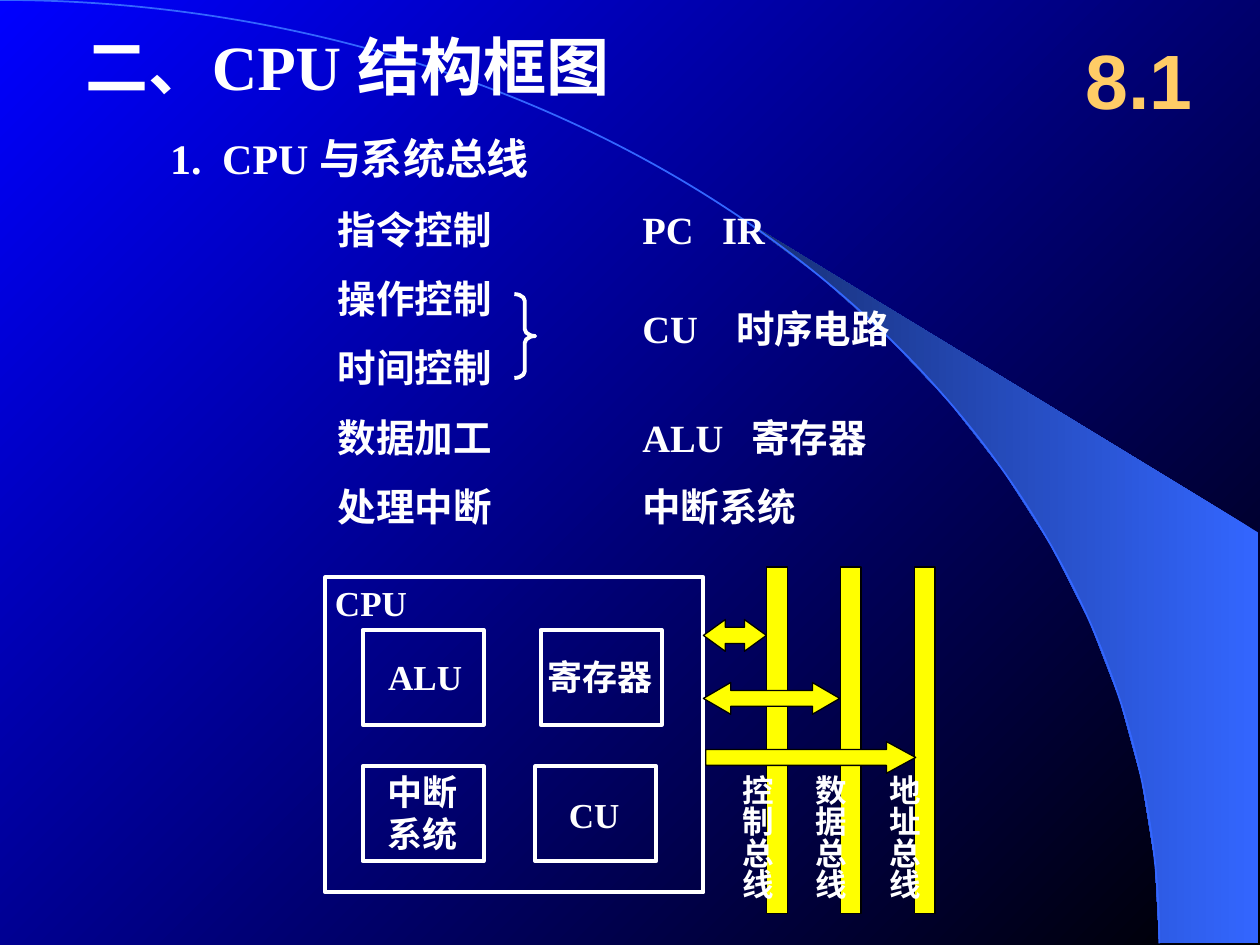
"""Build the slide on CPU structure and the system buses."""
from math import cos, radians, sin

from lxml import etree
from pptx import Presentation
from pptx.dml.color import RGBColor
from pptx.enum.shapes import MSO_SHAPE
from pptx.enum.text import MSO_ANCHOR, PP_ALIGN
from pptx.oxml.ns import qn
from pptx.util import Cm, Pt

RECT = MSO_SHAPE.RECTANGLE
BOTH_WAYS = MSO_SHAPE.LEFT_RIGHT_ARROW
ONE_WAY = MSO_SHAPE.RIGHT_ARROW
BRACE = MSO_SHAPE.RIGHT_BRACE
ARC = MSO_SHAPE.ARC
LEFT, CENTER = PP_ALIGN.LEFT, PP_ALIGN.CENTER
MIDDLE = MSO_ANCHOR.MIDDLE
WHITE = RGBColor(0xFF, 0xFF, 0xFF)
BLACK = RGBColor(0x00, 0x00, 0x00)
BLUE = RGBColor(0x00, 0x00, 0xFF)
SKY = RGBColor(0x33, 0x66, 0xFF)
NAVY = RGBColor(0x17, 0x2F, 0x75)
YELLOW = RGBColor(0xFF, 0xFF, 0x00)
GOLD = RGBColor(0xFF, 0xCC, 0x66)

prs = Presentation()
prs.slide_width, prs.slide_height = Cm(25.4), Cm(19.05)
s = prs.slides.add_slide(prs.slide_layouts[6])


def add_text(text, box, size, align=LEFT, wrap=True, tab=None, **extra):
    sp = s.shapes.add_textbox(*map(Cm, box))
    tf = sp.text_frame
    tf.word_wrap = wrap
    for i, line in enumerate(text.split("\n")):
        p = tf.add_paragraph() if i else tf.paragraphs[0]
        p.alignment = align
        if tab:
            tabs = etree.SubElement(p._p.get_or_add_pPr(), qn("a:tabLst"))
            etree.SubElement(tabs, qn("a:tab"), pos=str(Cm(tab)), algn="l")
        r = p.add_run()
        r.text = line
        fmt = {"name": "Times New Roman", "size": Pt(size), "bold": True} | extra
        r.font.color.rgb = fmt.pop("rgb", WHITE)
        for key, value in fmt.items():
            setattr(r.font, key, value)
    return tf


def add_shape(kind, box, line=WHITE, width=2.25, fill=None, adj=()):
    sp = s.shapes.add_shape(kind, *map(Cm, box))
    sp.shadow.inherit = False
    if fill is None:
        sp.fill.background()
    else:
        sp.fill.solid()
        sp.fill.fore_color.rgb = fill
    sp.line.color.rgb = line
    sp.line.width = Pt(width)
    for i, value in enumerate(adj):
        sp.adjustments[i] = value


rx, ry = 23.37, 19.02
inner = [(Cm(rx * sin(radians(t))), Cm(ry * (1 - cos(radians(t))))) for t in range(40, 91, 5)]
fb = s.shapes.build_freeform(*inner[0], scale=1.0)
fb.add_line_segments(inner[1:] + [(Cm(25.37), Cm(ry)), (Cm(25.37), Cm(10.74))], close=True)
wedge = fb.convert_to_shape()
wedge.shadow.inherit = False
wedge.line.fill.background()
add_shape(ARC, (-rx, 0, 2 * rx, 2 * ry), SKY, 1)

for fill, angle, colours in ((s.background.fill, 135, (BLACK, BLUE)),
                             (wedge.fill, 180, (SKY, NAVY))):
    fill.gradient()
    fill.gradient_angle = angle
    for stop, position, colour in zip(fill.gradient_stops, (0, 1), colours):
        stop.position = position
        stop.color.rgb = colour

add_text("二、CPU 结构框图", (1.48, 0.43, 15.88, 1.78), 36)
add_text("1.\tCPU 与系统总线", (3.18, 2.54, 8.89, 1.27), 24, tab=1.05)
tf = add_text("8.1", (21.38, 0.43, 3.18, 2.33), 44, CENTER, name="Arial", rgb=GOLD)
tf.vertical_anchor = MIDDLE

for i, text in enumerate(("指令控制", "操作控制", "时间控制", "数据加工", "处理中断")):
    add_text(text, (6.56, 4.02 + 1.4 * i, 7.62, 1.19), 22)
for text, top, tab in (("PC\tIR", 4.02, 1.61), ("CU\t时序电路", 6.02, 1.89),
                       ("ALU\t寄存器", 8.22, 2.2), ("中断系统", 9.61, None)):
    add_text(text, (12.7, top, 7.62, 1.19), 22, tab=tab)
add_shape(BRACE, (10.37, 5.93, 0.42, 1.69), adj=(0.33, 0.5))

add_shape(RECT, (6.56, 11.64, 7.62, 6.35))
for left, top in ((7.31, 12.7), (10.9, 12.7), (7.31, 15.45), (10.79, 15.45)):
    add_shape(RECT, (left, top, 2.44, 1.91))
for text, box in (("CPU", (6.23, 11.6, 2.5, 1.12)),
                  ("ALU", (7.32, 13.08, 2.5, 1.12)),
                  ("寄存器", (10.6, 13.08, 3, 1.12)),
                  ("中断\n系统", (7.27, 15.4, 2.5, 1.96)),
                  ("CU", (10.73, 15.87, 2.5, 1.12))):
    add_text(text, box, 20, CENTER, wrap=False)

buses = ("控制总线", "数据总线", "地址总线")
for i in range(len(buses)):
    add_shape(RECT, (15.45 + 1.49 * i, 11.43, 0.42, 6.99), BLACK, 0.75, YELLOW)
for kind, left, top, width, adj in ((BOTH_WAYS, 14.18, 12.49, 1.27, (0.51, 0.69)),
                                    (BOTH_WAYS, 14.18, 13.76, 2.75, (0.5, 0.86)),
                                    (ONE_WAY, 14.23, 14.95, 4.23, (0.5, 0.92))):
    add_shape(kind, (left, top, width, 0.64), BLACK, 0.75, YELLOW, adj)
for i, text in enumerate(buses):
    tf = add_text(text, (14.5 + 1.48 * i, 15.36, 1.27, 2.8), 18, wrap=False)
    tf._txBody.bodyPr.set("vert", "eaVert")
    margins = {"margin_left": 0.13, "margin_right": 0.13, "margin_top": 0.25, "margin_bottom": 0.25}
    for key, value in margins.items():
        setattr(tf, key, Cm(value))

prs.save("out.pptx")
